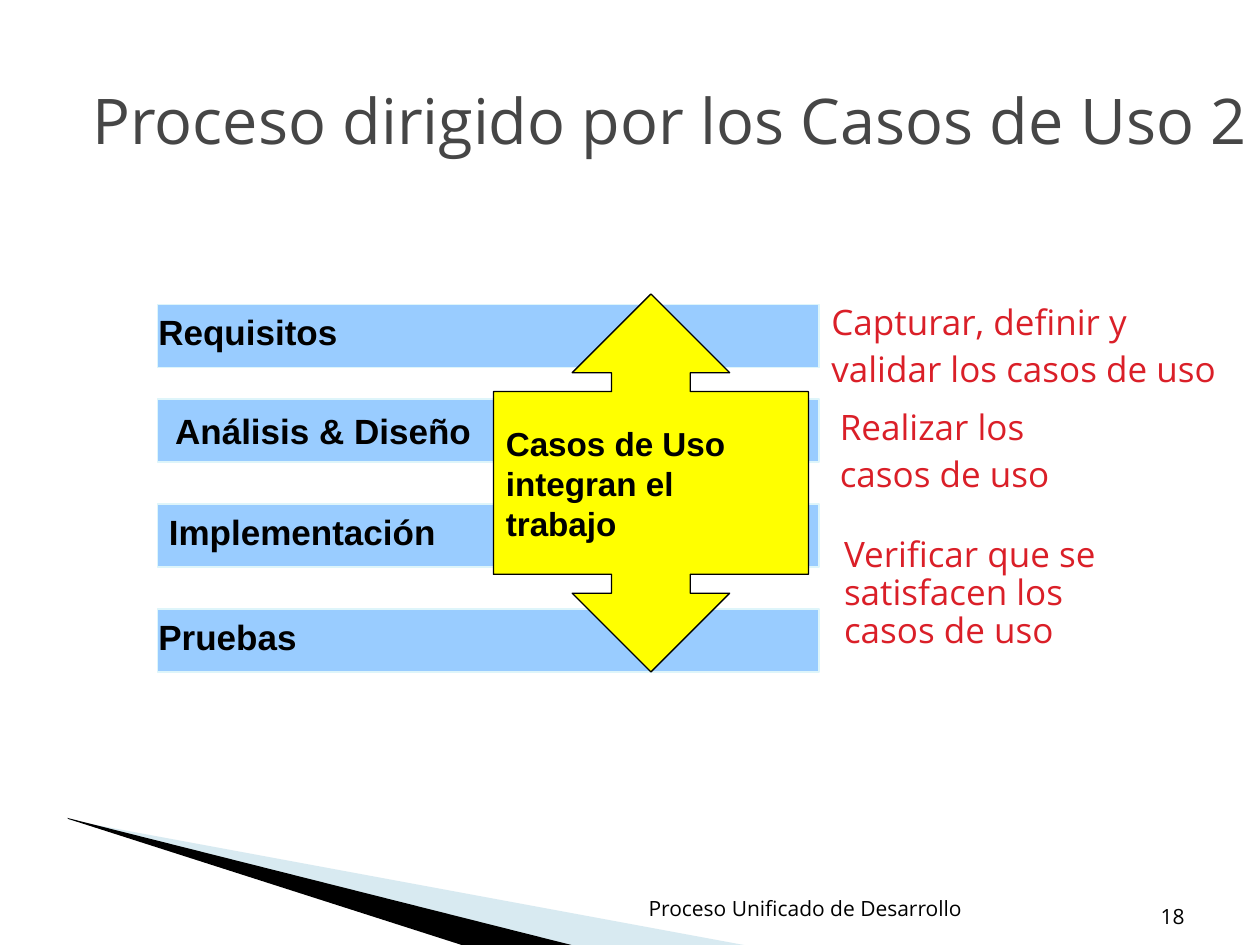
from lxml.etree import SubElement
from pptx import Presentation
from pptx.dml.color import RGBColor
from pptx.enum.shapes import MSO_SHAPE as Preset
from pptx.enum.text import MSO_ANCHOR as Anchor, MSO_AUTO_SIZE as AutoSize, PP_ALIGN as Align
from pptx.oxml.ns import qn
from pptx.util import Inches, Pt

COLUMNS, ROWS = 120, 90
COLORS = {
    "black": "000000",
    "title": "464646",
    "note": "DA1F28",
    "bar": "99CCFF",
    "bar_line": "DEF5FA",
    "arrow": "FFFF00",
    "wing": "9FCBDC",
}
LABEL = dict(font="Arial", size=20, bold=True)
NOTE = dict(size=20, color="note")
SMALL = dict(size=12)


def rgb(name):
    return RGBColor.from_string(COLORS[name])


def write(frame, text, font="Open Sans", size=20, color="black", bold=False, align=Align.LEFT,
          anchor=Anchor.TOP, space_before=0, line_spacing=None, inset=0.1):
    """Fill a text frame, one paragraph for each line of text."""
    frame.word_wrap = True
    frame.auto_size = AutoSize.NONE
    frame.vertical_anchor = anchor
    frame.margin_left = frame.margin_right = Inches(inset)
    frame.margin_top = frame.margin_bottom = Inches(0.05)
    for index, line in enumerate(text.split("\n")):
        paragraph = frame.add_paragraph() if index else frame.paragraphs[0]
        paragraph.alignment = align
        if index and space_before:
            paragraph.space_before = Pt(space_before)
        if line_spacing:
            paragraph.line_spacing = line_spacing
        run = paragraph.add_run()
        run.text = line
        run.font.name = font
        run.font.size = Pt(size)
        run.font.bold = bold
        run.font.color.rgb = rgb(color)


class SlideBuilder:
    """Draws on one slide; lengths are columns and rows of the grid."""

    def __init__(self, presentation):
        self.slide = presentation.slides.add_slide(presentation.slide_layouts[5])
        self.shapes = self.slide.shapes
        self.column = presentation.slide_width / COLUMNS
        self.row = presentation.slide_height / ROWS

    def point(self, x, y):
        return round(x * self.column), round(y * self.row)

    def box(self, left, top, width, height):
        return *self.point(left, top), *self.point(width, height)

    def paint(self, shape, fill, line=None, opacity=None):
        shape.shadow.inherit = False
        shape.fill.solid()
        shape.fill.fore_color.rgb = rgb(fill)
        if opacity:
            color = shape.fill._xPr.find(".//" + qn("a:srgbClr"))
            SubElement(color, qn("a:alpha"), val=str(opacity * 1000))
        if line:
            shape.line.color.rgb = rgb(line)
            shape.line.width = Pt(0.75)
        else:
            shape.line.fill.background()
        return shape

    def title(self, text, box, **style):
        title = self.shapes.title
        title.left, title.top, title.width, title.height = self.box(*box)
        write(title.text_frame, text, **style)

    def text(self, text, box, **style):
        write(self.shapes.add_textbox(*self.box(*box)).text_frame, text, **style)

    def bar(self, box):
        self.paint(self.shapes.add_shape(Preset.RECTANGLE, *self.box(*box)), "bar", "bar_line")

    def outline(self, points, fill, line=None, opacity=None):
        first, *others = [self.point(x, y) for x, y in points]
        builder = self.shapes.build_freeform(*first)
        builder.add_line_segments(others, close=True)
        return self.paint(builder.convert_to_shape(), fill, line, opacity)

    def double_arrow(self, center_x, center_y, text, **style):
        """Up-down arrow with a text block, mirrored from one quarter."""
        quarter = [(15, 8.7), (3.75, 8.7), (3.75, 10.5), (7.5, 10.5), (0, 18)]
        half = quarter + [(-x, y) for x, y in quarter[-2::-1]]
        whole = half + [(-x, -y) for x, y in half]
        points = [(center_x + x, center_y + y) for x, y in whole]
        write(self.outline(points, "arrow", "black").text_frame, text, **style)


def main():
    presentation = Presentation()
    presentation.slide_width, presentation.slide_height = Inches(10), Inches(7.5)
    builder = SlideBuilder(presentation)

    builder.outline([(6.6, 78.1), (71.4, 90.1), (54.7, 90.1), (6.6, 78)], "wing", opacity=40)
    builder.outline([(6.4, 77.9), (54.8, 90.1), (44.6, 90.2), (6.5, 78)], "black")
    builder.title("Proceso dirigido por los Casos de Uso 2", (-6.5, 7.2, 126.5, 8.5),
                  size=36, color="title", align=Align.RIGHT)

    workflows = [
        ("Requisitos", 29, 14, 0),
        ("Análisis & Diseño", 38, 15.6, 0.4),
        ("Implementación", 48, 15, 0),
        ("Pruebas", 58, 14, 0),
    ]
    for name, row, left, drop in workflows:
        builder.bar((15, row, 63, 6))
        builder.text(name, (left, row + drop, 31, 5.2), inset=0.09, **LABEL)

    builder.text("Capturar, definir y\nvalidar los casos de uso", (78, 28, 41, 9.8),
                 space_before=3, **NOTE)
    builder.text("Realizar los\ncasos de uso", (78.8, 38, 38.3, 9.8), space_before=3, **NOTE)
    builder.text("Verificar que se satisfacen los casos de uso", (79.2, 50.6, 31.8, 12.2),
                 line_spacing=0.9, **NOTE)
    builder.double_arrow(62, 46, "Casos de Uso\nintegran el\ntrabajo", font="Arial", size=19,
                         bold=True, anchor=Anchor.MIDDLE)

    builder.text("18", (100.7, 83.8, 13.3, 5.2), align=Align.RIGHT, anchor=Anchor.BOTTOM, **SMALL)
    builder.text("Proceso Unificado de Desarrollo", (57.5, 84.1, 38.4, 4.8),
                 align=Align.CENTER, anchor=Anchor.MIDDLE, **SMALL)
    presentation.save("out.pptx")


if __name__ == "__main__":
    main()
